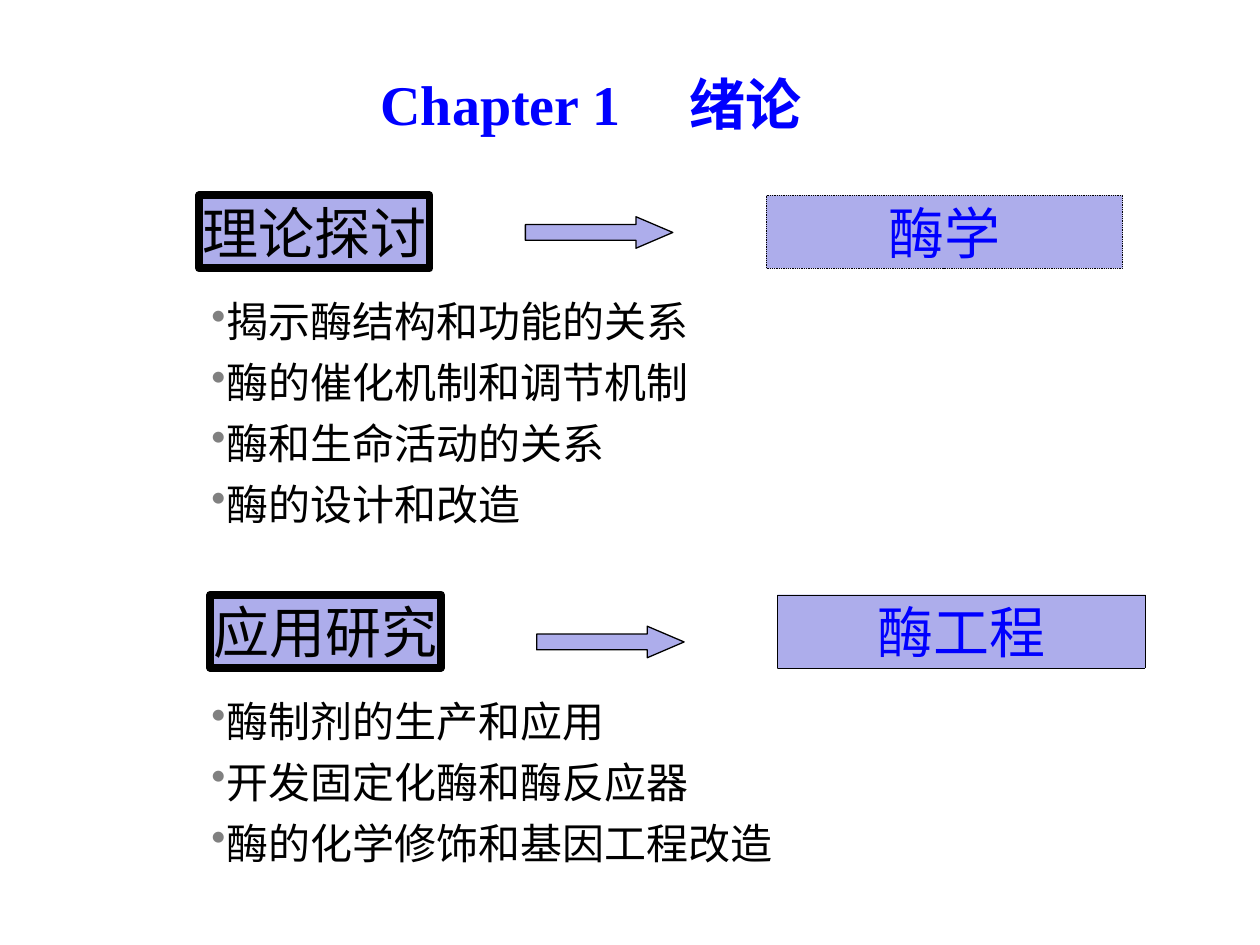
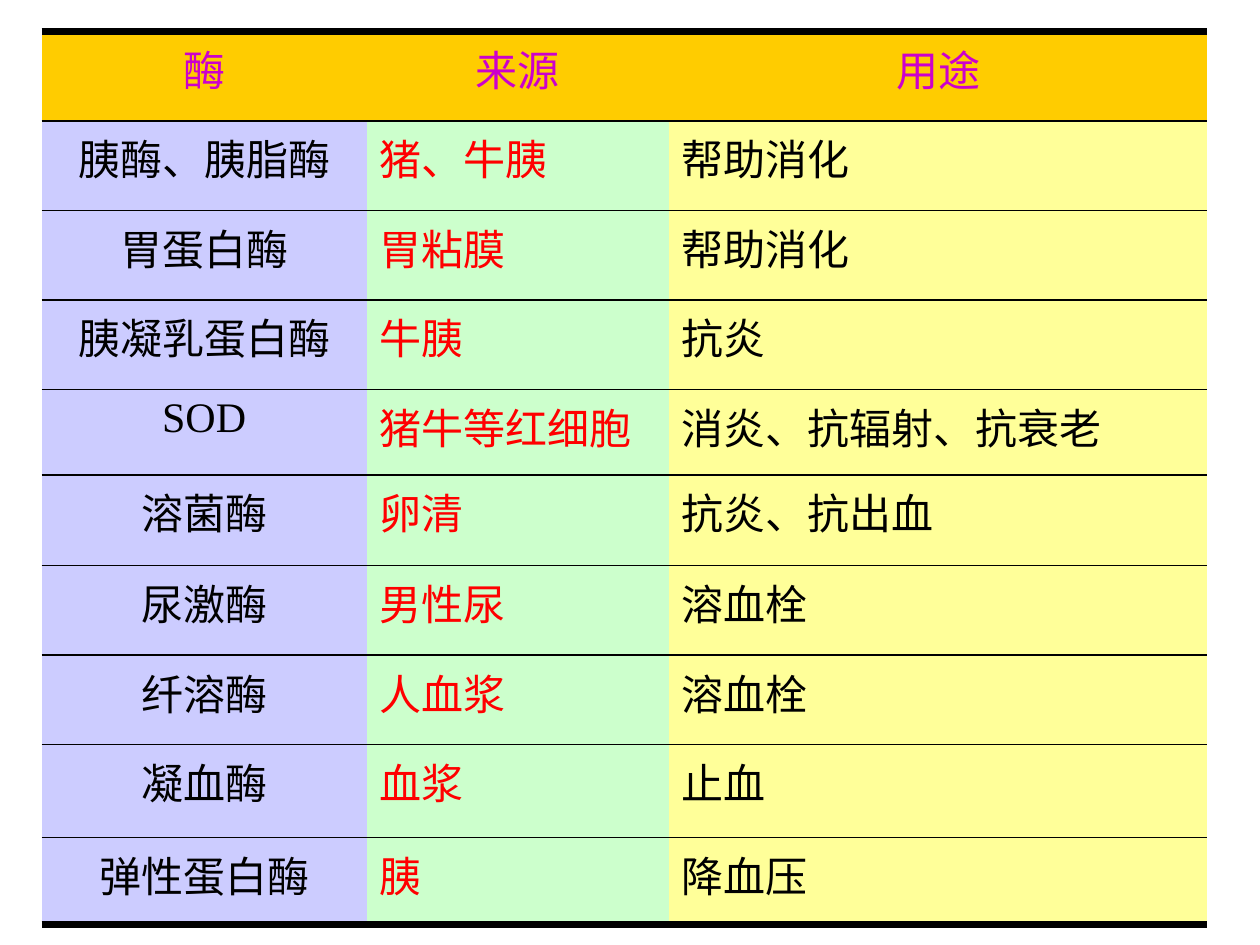
from lxml import etree
from pptx import Presentation
from pptx.dml.color import RGBColor
from pptx.enum.dml import MSO_LINE
from pptx.enum.shapes import MSO_SHAPE
from pptx.enum.text import MSO_ANCHOR, MSO_AUTO_SIZE, PP_ALIGN
from pptx.oxml.ns import qn
from pptx.util import Inches, Pt

TITLE = "Chapter 1\t绪论"
FIELDS = [
    {"topic": "理论探讨", "result": "酶学", "left": 1.58, "top": 1.55,
     "wide": 2.83, "drop": 0.17, "edge": 0.5, "list": (2.3, 4.42, 2.3),
     "points": ["揭示酶结构和功能的关系", "酶的催化机制和调节机制",
                "酶和生命活动的关系", "酶的设计和改造"]},
    {"topic": "应用研究", "result": "酶工程", "left": 1.67, "top": 4.72,
     "wide": 2.92, "drop": 0.25, "edge": 0.25, "list": (5.47, 5.5, 1.7),
     "points": ["酶制剂的生产和应用", "开发固定化酶和酶反应器",
                "酶的化学修饰和基因工程改造"]},
]
ENZYMES = [
    ("酶", "来源", "用途"),
    ("胰酶、胰脂酶", "猪、牛胰", "帮助消化"),
    ("胃蛋白酶", "胃粘膜", "帮助消化"),
    ("胰凝乳蛋白酶", "牛胰", "抗炎"),
    ("SOD", "猪牛等红细胞", "消炎、抗辐射、抗衰老"),
    ("溶菌酶", "卵清", "抗炎、抗出血"),
    ("尿激酶", "男性尿", "溶血栓"),
    ("纤溶酶", "人血浆", "溶血栓"),
    ("凝血酶", "血浆", "止血"),
    ("弹性蛋白酶", "胰", "降血压"),
]
WIDTHS = [2.58, 2.4, 4.27]
HEIGHTS = [0.71, 0.71, 0.71, 0.71, 0.68, 0.72, 0.71, 0.71, 0.74, 0.69]

BLACK = RGBColor(0, 0, 0)
BLUE = RGBColor(0, 0, 255)
RED = RGBColor(255, 0, 0)
GRAY = RGBColor(0x80, 0x80, 0x80)
LILAC = RGBColor(0xAD, 0xAD, 0xEB)
PURPLE = RGBColor(0xCC, 0x00, 0xCC)
GOLD = RGBColor(0xFF, 0xCC, 0x00)
FILLS = [RGBColor(0xCC, 0xCC, 0xFF), RGBColor(0xCC, 0xFF, 0xCC),
         RGBColor(0xFF, 0xFF, 0x99)]
INKS = [BLACK, RED, BLACK]
SERIF = "Times New Roman"
SANS = "Montserrat"

RECT = MSO_SHAPE.RECTANGLE
ARROW = MSO_SHAPE.RIGHT_ARROW
DOTS = MSO_LINE.ROUND_DOT
TOP = MSO_ANCHOR.TOP
MIDDLE = MSO_ANCHOR.MIDDLE
FIXED = MSO_AUTO_SIZE.NONE
LEFT = PP_ALIGN.LEFT
CENTER = PP_ALIGN.CENTER


def style(para, size, color, font=SERIF, bold=False, align=LEFT, gap=0):
    para.alignment = align
    para.space_before = Pt(gap)
    for run in para.runs:
        run.font.size = Pt(size)
        run.font.name = font
        run.font.bold = bold
        run.font.color.rgb = color


def add_title(slide):
    title = slide.shapes.title
    title.left, title.top = Inches(2.92), Inches(0.5)
    title.width, title.height = Inches(4.17), Inches(0.63)
    frame = title.text_frame
    frame.text = TITLE
    frame.auto_size = FIXED
    frame.vertical_anchor = TOP
    para = frame.paragraphs[0]
    style(para, 32, BLUE, bold=True)
    tabs = etree.SubElement(para._p.get_or_add_pPr(), qn("a:tabLst"))
    etree.SubElement(tabs, qn("a:tab"), pos=str(Inches(2.45)), algn="l")


def add_box(slide, kind, place, edge, text="", ink=BLACK):
    box = slide.shapes.add_shape(kind, *map(Inches, place))
    box.shadow.inherit = False
    box.fill.solid()
    box.fill.fore_color.rgb = LILAC
    box.line.color.rgb = BLACK
    box.line.width = Pt(edge)
    if text:
        frame = box.text_frame
        frame.text = text
        frame.word_wrap = False
        frame.vertical_anchor = MIDDLE
        style(frame.paragraphs[0], 32, ink, align=CENTER)
    return box


def add_list(slide, points, top, width, height):
    box = slide.shapes.add_textbox(*map(Inches, (1.58, top, width, height)))
    frame = box.text_frame
    frame.word_wrap = True
    frame.text = "\n".join(points)
    for para in frame.paragraphs:
        style(para, 24, BLACK, gap=6)
        props = para._p.get_or_add_pPr()
        tint = etree.SubElement(props, qn("a:buClr"))
        etree.SubElement(tint, qn("a:srgbClr"), val=str(GRAY))
        etree.SubElement(props, qn("a:buChar"), char="•")


def add_field(slide, field):
    left, top = field["left"], field["top"]
    add_box(slide, RECT, (left, top, 1.83, 0.58), 4.5, field["topic"])
    place = (left + 2.59, top + field["drop"], 1.17, 0.25)
    arrow = add_box(slide, ARROW, place, 0.75)
    arrow.adjustments[1] = 1.17
    place = (left + 4.5, top, field["wide"], 0.58)
    result = add_box(slide, RECT, place, field["edge"], field["result"], BLUE)
    result.line.dash_style = DOTS
    add_list(slide, field["points"], *field["list"])


def add_edge(cell, side, width):
    props = cell._tc.get_or_add_tcPr()
    line = etree.SubElement(props, qn("a:ln" + side), w=str(Pt(width)))
    if width:
        fill = etree.SubElement(line, qn("a:solidFill"))
        etree.SubElement(fill, qn("a:srgbClr"), val=str(BLACK))
    else:
        etree.SubElement(line, qn("a:noFill"))


def add_table(slide):
    last = len(ENZYMES) - 1
    place = map(Inches, (0.33, 0.25, sum(WIDTHS), sum(HEIGHTS)))
    table = slide.shapes.add_table(len(ENZYMES), len(WIDTHS), *place).table
    table.first_row = table.horz_banding = False
    for col, width in zip(table.columns, WIDTHS):
        col.width = Inches(width)
    for row, height in zip(table.rows, HEIGHTS):
        row.height = Inches(height)
    for r, texts in enumerate(ENZYMES):
        for c, text in enumerate(texts):
            cell = table.cell(r, c)
            cell.text = text
            head = r == 0
            font = SERIF if c == 0 or r >= last - 1 else SANS
            style(cell.text_frame.paragraphs[0], 24,
                  PURPLE if head else INKS[c], font,
                  align=CENTER if head or c == 0 else LEFT, gap=2)
            add_edge(cell, "L", 0)
            add_edge(cell, "R", 0)
            add_edge(cell, "T", 4.5 if head else 1)
            add_edge(cell, "B", 4.5 if r == last else 1)
            cell.fill.solid()
            cell.fill.fore_color.rgb = GOLD if head else FILLS[c]


def main():
    deck = Presentation()
    deck.slide_width, deck.slide_height = Inches(10), Inches(7.5)
    intro = deck.slides.add_slide(deck.slide_layouts[5])
    add_title(intro)
    for field in FIELDS:
        add_field(intro, field)
    add_table(deck.slides.add_slide(deck.slide_layouts[6]))
    deck.save("out.pptx")


if __name__ == "__main__":
    main()
